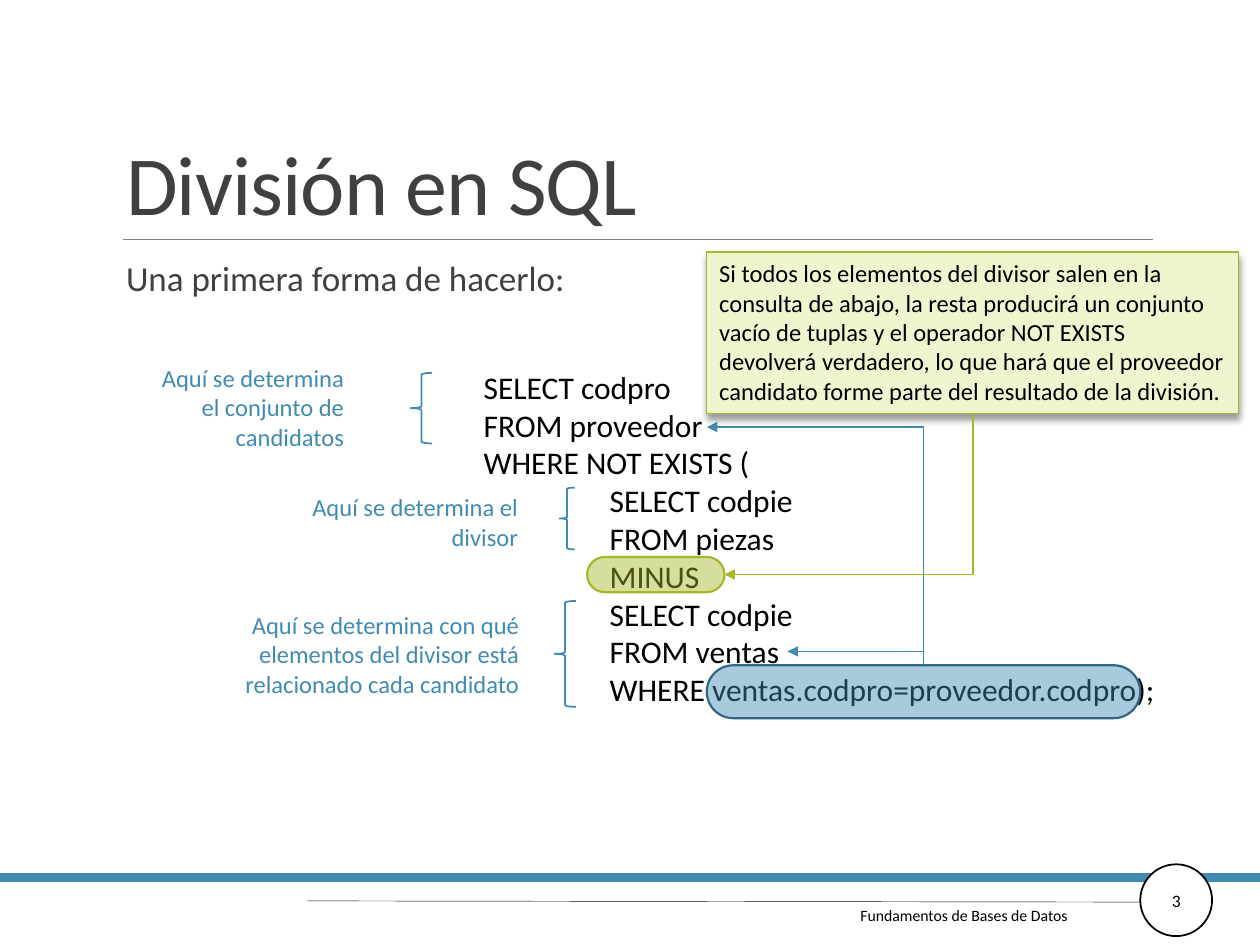
from lxml.etree import SubElement
from pptx import Presentation
from pptx.dml.color import RGBColor
from pptx.enum.shapes import MSO_CONNECTOR as Line, MSO_SHAPE as Shape
from pptx.enum.text import MSO_ANCHOR as Anchor, PP_ALIGN as Align
from pptx.oxml.ns import qn
from pptx.util import Inches, Pt

BLACK = RGBColor(0x00, 0x00, 0x00)
WHITE = RGBColor(0xFF, 0xFF, 0xFF)
GRAY = RGBColor(0x80, 0x80, 0x80)
DARK = RGBColor(0x40, 0x40, 0x40)
BLUE = RGBColor(0x41, 0x8A, 0xB3)
NAVY = RGBColor(0x30, 0x66, 0x84)
GREEN = RGBColor(0xA6, 0xB7, 0x27)
PALE_GREEN = RGBColor(0xF0, 0xF5, 0xD0)

WIDTH, HEIGHT = 10, 7.5
LEFT, CONTENT_WIDTH = 0.9, 8.25

TITLE = "División en SQL"
INTRO = "Una primera forma de hacerlo:"
QUERY = [
    "SELECT codpro",
    "FROM proveedor",
    "WHERE NOT EXISTS (",
    "\tSELECT codpie",
    "\tFROM piezas",
    "\tMINUS",
    "\tSELECT codpie",
    "\tFROM ventas",
    "\tWHERE ventas.codpro=proveedor.codpro);",
]
# note, note position, brace position (left, top, width, height)
NOTES = [
    ("Aquí se determina el conjunto de candidatos",
     (1.13, 2.83, 1.7, 0.81), (3.26, 2.96, 0.17, 0.56)),
    ("Aquí se determina el divisor",
     (2.35, 3.86, 1.86, 0.57), (4.44, 3.87, 0.12, 0.49)),
    ("Aquí se determina con qué elementos del divisor está relacionado cada candidato",
     (1.84, 4.79, 2.38, 0.81), (4.4, 4.77, 0.17, 0.84)),
]
CALLOUT = ("Si todos los elementos del divisor salen en la consulta de abajo, la resta "
           "producirá un conjunto vacío de tuplas y el operador NOT EXISTS devolverá "
           "verdadero, lo que hará que el proveedor candidato forme parte del resultado "
           "de la división.")
FOOTER = "Fundamentos de Bases de Datos"
PAGE_NUMBER = "3"
JOIN_TARGETS = [(6.25, 5.17), (5.61, 3.39)]

deck = Presentation()
deck.slide_width, deck.slide_height = Inches(WIDTH), Inches(HEIGHT)
page = deck.slides.add_slide(deck.slide_layouts[1])
shapes = page.shapes


def inches(*lengths):
    return [Inches(length) for length in lengths]


def write(para, text, size, color, align=Align.LEFT):
    para.alignment = align
    span = para.add_run()
    span.text = text
    span.font.name = "Calibri"
    span.font.size = Pt(size)
    span.font.color.rgb = color
    return span


def add_text(place, lines, size, color, align=Align.LEFT, wrap=True):
    frame = shapes.add_textbox(*inches(*place)).text_frame
    frame.word_wrap = wrap
    for number, text in enumerate(lines):
        para = frame.add_paragraph() if number else frame.paragraphs[0]
        write(para, text, size, color, align)
    return frame


def add_box(kind, place, fill=None, line=None, weight=1, alpha=None):
    """Add a preset shape; alpha is the opacity of its fill in percent."""
    box = shapes.add_shape(kind, *inches(*place))
    box.shadow.inherit = False
    if fill is None:
        box.fill.background()
    else:
        box.fill.solid()
        box.fill.fore_color.rgb = fill
    if alpha:
        color = box.fill._xPr.find(".//" + qn("a:srgbClr"))
        SubElement(color, qn("a:alpha"), val=str(alpha * 1000))
    if line is None:
        box.line.fill.background()
    else:
        box.line.color.rgb = line
        box.line.width = Pt(weight)
    return box


def add_pill(place, fill, line):
    pill = add_box(Shape.ROUNDED_RECTANGLE, place, fill, line, 1.25, alpha=45)
    pill.adjustments[0] = 0.5
    return pill


def add_line(start, end, color, weight, kind=Line.STRAIGHT):
    line = shapes.add_connector(kind, *inches(*start, *end))
    line.line.color.rgb = color
    line.line.width = Pt(weight)
    SubElement(line._element.spPr, qn("a:effectLst"))
    return line


def add_elbow(tip, end, color):
    """Add a one-corner connector, level at its arrow tip and upright at its end."""
    elbow = add_line(tip, end, color, 1, Line.ELBOW)
    elbow._element.spPr.find(qn("a:prstGeom")).set("prst", "bentConnector2")
    SubElement(elbow.line._get_or_add_ln(), qn("a:headEnd"), type="triangle")
    return elbow


# Slide frame
add_box(Shape.RECTANGLE, (0, 6.93, WIDTH, 0.07), BLUE)
add_line((0.98, 1.9), (9.15, 1.9), GRAY, 0.5)
add_line((2.44, 7.15), (9.31, 7.16), BLACK, 0.25)
badge = add_box(Shape.OVAL, (9.05, 6.86, 0.57, 0.57), WHITE, BLACK)
badge.text_frame.margin_left = badge.text_frame.margin_right = Inches(0.07)
badge.text_frame.vertical_anchor = Anchor.MIDDLE
write(badge.text_frame.paragraphs[0], PAGE_NUMBER, 10, BLACK, Align.CENTER)
add_text((6.73, 7.14, 1.86, 0.25), [FOOTER], 9, BLACK, wrap=False)

# Title and introduction
title, body = shapes.title, page.placeholders[1]
title.left, title.top, title.width, title.height = inches(LEFT, 0.31, CONTENT_WIDTH, 1.59)
title.text_frame.vertical_anchor = Anchor.BOTTOM
heading = title.text_frame.paragraphs[0]
heading.line_spacing = 0.85
write(heading, TITLE, 48, DARK)._r.get_or_add_rPr().set("spc", "-50")

body.left, body.top, body.width, body.height = inches(LEFT, 2.02, CONTENT_WIDTH, 4.4)
body.text_frame.margin_left = body.text_frame.margin_right = 0
intro = body.text_frame.paragraphs[0]
intro.line_spacing, intro.space_before, intro.space_after = 0.9, Pt(12), Pt(2)
write(intro, INTRO, 20, DARK)
properties = intro._p.get_or_add_pPr()
properties.set("marL", str(Inches(0.1)))
properties.set("indent", "0")
SubElement(properties, qn("a:buNone"))

# Query and its notes
query = add_text((3.74, 2.87, 5.56, 2.83), QUERY, 18, BLACK)
for para in query.paragraphs:
    tabs = SubElement(para._p.get_or_add_pPr(), qn("a:tabLst"))
    SubElement(tabs, qn("a:tab"), pos=str(Inches(1)), algn="l")
for note, note_place, brace_place in NOTES:
    add_box(Shape.LEFT_BRACE, brace_place, line=BLUE)
    add_text(note_place, [note], 14, BLUE, Align.RIGHT)

# Join condition, pointing at the tables it relates
join = add_pill((5.61, 5.28, 3.44, 0.42), BLUE, NAVY)
for target in JOIN_TARGETS:
    add_elbow(target, (7.33, 5.28), BLUE).end_connect(join, 0)

# Explanation of the subtraction
minus = add_pill((4.66, 4.42, 1.09, 0.28), GREEN, GREEN)
callout = add_box(Shape.RECTANGLE, (5.61, 2, 4.22, 1.28), PALE_GREEN, GREEN, 0.75)
callout.text_frame.word_wrap = True
callout.text_frame.vertical_anchor = Anchor.TOP
write(callout.text_frame.paragraphs[0], CALLOUT, 14, BLACK)
effects = callout._element.spPr.find(qn("a:effectLst"))
shadow = SubElement(effects, qn("a:outerShdw"), blurRad=str(Pt(4)), dist=str(Pt(3)),
                    dir="5400000", rotWithShape="0")
shade = SubElement(shadow, qn("a:srgbClr"), val=str(BLACK))
SubElement(shade, qn("a:alpha"), val="40000")
arrow = add_elbow((5.75, 4.56), (7.72, 3.28), GREEN)
arrow.begin_connect(minus, 3)
arrow.end_connect(callout, 2)

deck.save("out.pptx")
